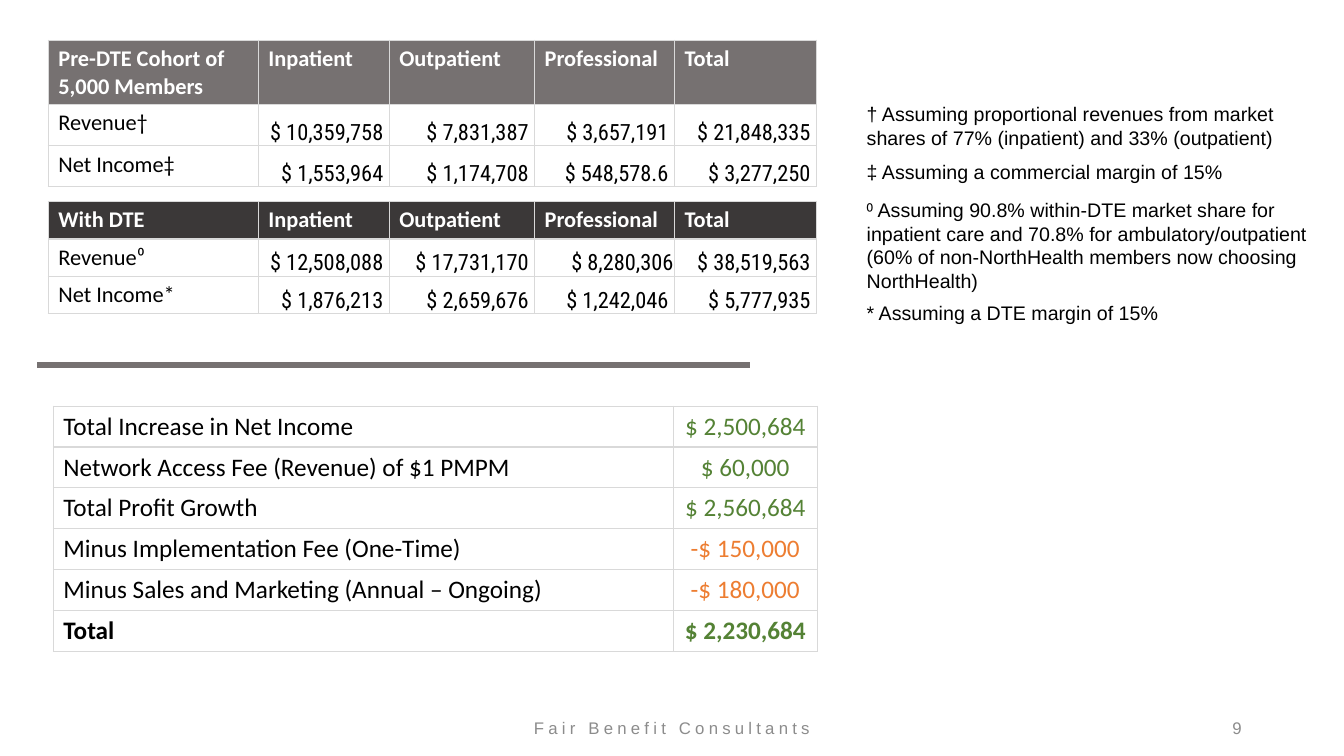
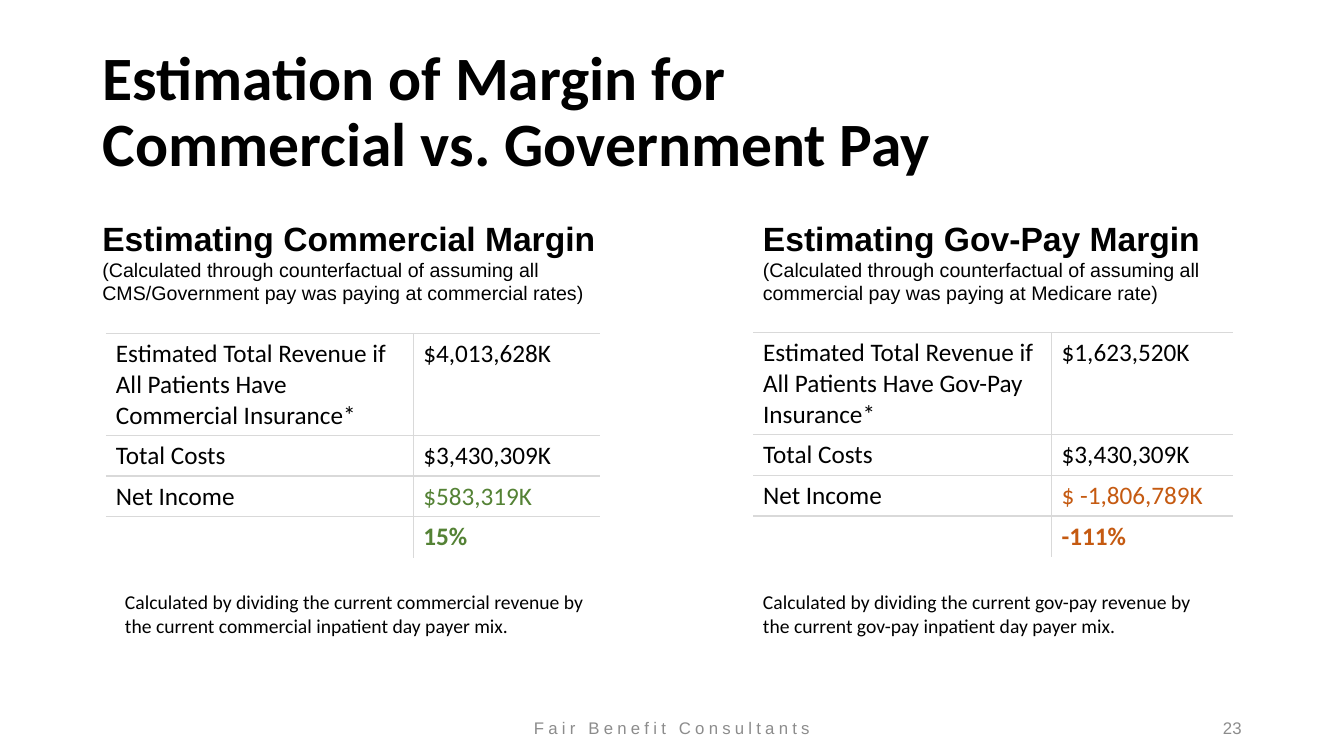
from lxml import etree
from pptx import Presentation
from pptx.dml.color import RGBColor
from pptx.enum.shapes import MSO_CONNECTOR
from pptx.enum.text import MSO_ANCHOR, MSO_AUTO_SIZE, PP_ALIGN
from pptx.oxml.ns import qn
from pptx.util import Inches, Pt

LEFT, CENTER, RIGHT = PP_ALIGN.LEFT, PP_ALIGN.CENTER, PP_ALIGN.RIGHT
TOP, MIDDLE, BOTTOM = MSO_ANCHOR.TOP, MSO_ANCHOR.MIDDLE, MSO_ANCHOR.BOTTOM
STRAIGHT = MSO_CONNECTOR.STRAIGHT
NO_AUTOFIT = MSO_AUTO_SIZE.NONE

BLACK, WHITE = "000000", "FFFFFF"
GRAY, CHARCOAL, RULE, MUTED = "767171", "3B3838", "D9D9D9", "8C8C8C"
GREEN, ORANGE, RUST = "548235", "ED7D31", "C55A11"


def rgb(color):
    return RGBColor.from_string(color)


def cell_spec(text, **style):
    return dict(text=text, **style)


class Deck:
    WIDTH, HEIGHT = 13.33, 7.5
    COLUMNS, ROWS = 160, 90
    BODY, HEADING, FIGURES = "Arial", "Calibri", "Roboto Condensed"
    TITLE_ONLY, BLANK = 5, 6
    FOOTER = "Fair Benefit Consultants"

    def __init__(self):
        self.prs = Presentation()
        self.prs.slide_width = Inches(self.WIDTH)
        self.prs.slide_height = Inches(self.HEIGHT)
        self.slide = None

    def col(self, n):
        return Inches(self.WIDTH * n / self.COLUMNS)

    def row(self, n):
        return Inches(self.HEIGHT * n / self.ROWS)

    def box(self, x, y, w, h):
        return self.col(x), self.row(y), self.col(w), self.row(h)

    def font(self, p, size, name=BODY, color=BLACK, bold=False, align=LEFT):
        p.alignment = align
        f = p.font
        f.size, f.name, f.bold = Pt(size), name, bold
        f.color.rgb = rgb(color)

    def new_slide(self, number, title=None):
        layout = self.TITLE_ONLY if title else self.BLANK
        self.slide = self.prs.slides.add_slide(self.prs.slide_layouts[layout])
        if title:
            self.title(title)
        p = self.text(53, 85, 54, 3.25, [self.FOOTER], 12, color=MUTED,
                      align=CENTER, anchor=MIDDLE)
        p.runs[0]._r.get_or_add_rPr().set("spc", "300")
        self.text(113, 85, 36, 3.25, [number], 12, color=MUTED,
                  align=RIGHT, anchor=MIDDLE)

    def title(self, text):
        sp = self.slide.shapes.title
        sp.left, sp.top, sp.width, sp.height = self.box(11, 4.8, 138, 17.4)
        tf = sp.text_frame
        tf.auto_size = NO_AUTOFIT
        tf.vertical_anchor = MIDDLE
        p = tf.paragraphs[0]
        p.text = text
        p.line_spacing = 0.9
        self.font(p, 44, self.HEADING, bold=True)

    def text(self, x, y, w, h, lines, size, anchor=TOP, **style):
        sp = self.slide.shapes.add_textbox(*self.box(x, y, w, h))
        tf = sp.text_frame
        tf.word_wrap = True
        tf.vertical_anchor = anchor
        for i, line in enumerate(lines):
            p = tf.add_paragraph() if i else tf.paragraphs[0]
            p.text = line
            self.font(p, size, **style)
        return tf.paragraphs[0]

    def rule(self, x1, x2, y, color, width):
        sp = self.slide.shapes.add_connector(
            STRAIGHT, self.col(x1), self.row(y), self.col(x2), self.row(y))
        sp.line.color.rgb = rgb(color)
        sp.line.width = Pt(width)
        etree.SubElement(sp._element.spPr, qn("a:effectLst"))

    def border(self, cell, side, visible):
        ln = etree.SubElement(cell._tc.get_or_add_tcPr(), qn("a:ln" + side),
                              w=str(Pt(1)))
        if visible:
            fill = etree.SubElement(ln, qn("a:solidFill"))
            etree.SubElement(fill, qn("a:srgbClr"), val=RULE)
        else:
            etree.SubElement(ln, qn("a:noFill"))

    def table(self, x, y, widths, heights, rows, size, framed=True):
        shape = self.slide.shapes.add_table(
            len(rows), len(widths),
            *self.box(x, y, sum(widths), sum(heights)))
        table = shape.table
        table.first_row = table.horz_banding = False
        for column, width in zip(table.columns, widths):
            column.width = self.col(width)
        for row, height in zip(table.rows, heights):
            row.height = self.row(height)
        for i, specs in enumerate(rows):
            for j, spec in enumerate(specs):
                cell = table.cell(i, j)
                sides = dict(L=framed or j > 0,
                             R=framed or j < len(widths) - 1,
                             T=True,
                             B=framed or i < len(rows) - 1)
                for side, visible in sides.items():
                    self.border(cell, side, visible)
                self.fill_cell(cell, size, **spec)
        return table

    def fill_cell(self, cell, size, text, fill=None, figure=False, **style):
        if fill:
            cell.fill.solid()
            cell.fill.fore_color.rgb = rgb(fill)
        else:
            cell.fill.background()
        if figure:
            cell.vertical_anchor = BOTTOM
            cell.margin_left = cell.margin_top = Inches(0.01)
            cell.margin_right, cell.margin_bottom = Inches(0.06), 0
            style.update(name=self.FIGURES, align=RIGHT)
        p = cell.text_frame.paragraphs[0]
        p.text = text
        self.font(p, size, **{"name": self.HEADING, **style})

    def cohort_table(self, y, heights, name, fill, records):
        header = [name, "Inpatient", "Outpatient", "Professional", "Total"]
        rows = [[cell_spec(t, fill=fill, color=WHITE, bold=True)
                 for t in header]]
        for label, *figures in records:
            rows.append([cell_spec(label)]
                        + [cell_spec("$ " + f, figure=True) for f in figures])
        return self.table(5.75, y, [25, 15.6, 17.3, 16.65, 16.9], heights,
                          rows, 16)

    def margin_panel(self, x, w, heading, method, table_x, table_y, widths,
                     records, color, note_x, note_w, note):
        p = self.text(x, 25.3, w, 11.75, [heading, method], 14)
        self.font(p, 24, bold=True)
        rows = [[cell_spec(label), cell_spec(value)]
                for label, value in records]
        for row in rows[-2:]:
            row[1]["color"] = color
        rows[-1][1]["bold"] = True
        self.table(table_x, table_y, widths, [12.1] + [4.87] * 3, rows, 18,
                   framed=False)
        self.text(note_x, 69.7, note_w, 6.85, [note], 14, name=self.HEADING)


def benefit_slide(deck):
    deck.new_slide("9")
    deck.cohort_table(4.8, [7.65, 4.9, 4.9],
                      "Pre-DTE Cohort of 5,000 Members", GRAY, [
        ("Revenue†", "10,359,758", "7,831,387", "3,657,191", "21,848,335"),
        ("Net Income‡", "1,553,964", "1,174,708", "548,578.6", "3,277,250"),
    ])
    with_dte = deck.cohort_table(24, [4.45] * 3, "With DTE", CHARCOAL, [
        ("Revenue⁰", "12,508,088", "17,731,170", "8,280,306", "38,519,563"),
        ("Net Income*", "1,876,213", "2,659,676", "1,242,046", "5,777,935"),
    ])
    with_dte.cell(1, 3).margin_right = Inches(0.01)
    deck.rule(4.45, 89.3, 43.45, GRAY, 4.5)

    profit = [
        ("Total Increase in Net Income", "$ 2,500,684", GREEN),
        ("Network Access Fee (Revenue) of $1 PMPM", "$ 60,000", GREEN),
        ("Total Profit Growth", "$ 2,560,684", GREEN),
        ("Minus Implementation Fee (One-Time)", "-$ 150,000", ORANGE),
        ("Minus Sales and Marketing (Annual – Ongoing)", "-$ 180,000", ORANGE),
        ("Total", "$ 2,230,684", GREEN),
    ]
    rows = [[cell_spec(label, bold=label == "Total"),
             cell_spec(value, color=color, align=CENTER,
                       bold=label == "Total")]
            for label, value, color in profit]
    deck.table(6.35, 48.35, [73.8, 17.15], [4.87] * len(rows), rows, 18)

    notes = [
        (11.55, 9.7, "† Assuming proportional revenues from market shares of "
                     "77% (inpatient) and 33% (outpatient)"),
        (18.4, 4.1, "‡ Assuming a commercial margin of 15%"),
        (23, 12.5, "⁰ Assuming 90.8% within-DTE market share for inpatient "
                   "care and 70.8% for ambulatory/outpatient (60% of "
                   "non-NorthHealth members now choosing NorthHealth)"),
        (35.25, 4.1, "* Assuming a DTE margin of 15%"),
    ]
    for y, h, note in notes:
        deck.text(102, y, 56.65, h, [note], 14)


def margin_slide(deck):
    deck.new_slide(
        "23", "Estimation of Margin for\vCommercial vs. Government Pay")
    deck.margin_panel(
        11, 62.3, "Estimating Commercial Margin",
        "(Calculated through counterfactual of assuming all CMS/Government "
        "pay was paying at commercial rates)",
        12.6, 39.7, [36.6, 22.2], [
            ("Estimated Total Revenue if All Patients Have Commercial "
             "Insurance*", "$4,013,628K"),
            ("Total Costs", "$3,430,309K"),
            ("Net Income", "$583,319K"),
            ("", "15%"),
        ], GREEN, 13.7, 57.7,
        "Calculated by dividing the current commercial revenue by the "
        "current commercial inpatient day payer mix.")
    deck.margin_panel(
        89.65, 57.2, "Estimating Gov-Pay Margin",
        "(Calculated through counterfactual of assuming all commercial pay "
        "was paying at Medicare rate)",
        89.65, 39.6, [35.55, 21.65], [
            ("Estimated Total Revenue if All Patients Have Gov-Pay "
             "Insurance*", "$1,623,520K"),
            ("Total Costs", "$3,430,309K"),
            ("Net Income", "$ -1,806,789K"),
            ("", "-111%"),
        ], RUST, 89.65, 54,
        "Calculated by dividing the current gov-pay revenue by the current "
        "gov-pay inpatient day payer mix.")


def main():
    deck = Deck()
    benefit_slide(deck)
    margin_slide(deck)
    deck.prs.save("out.pptx")


if __name__ == "__main__":
    main()
